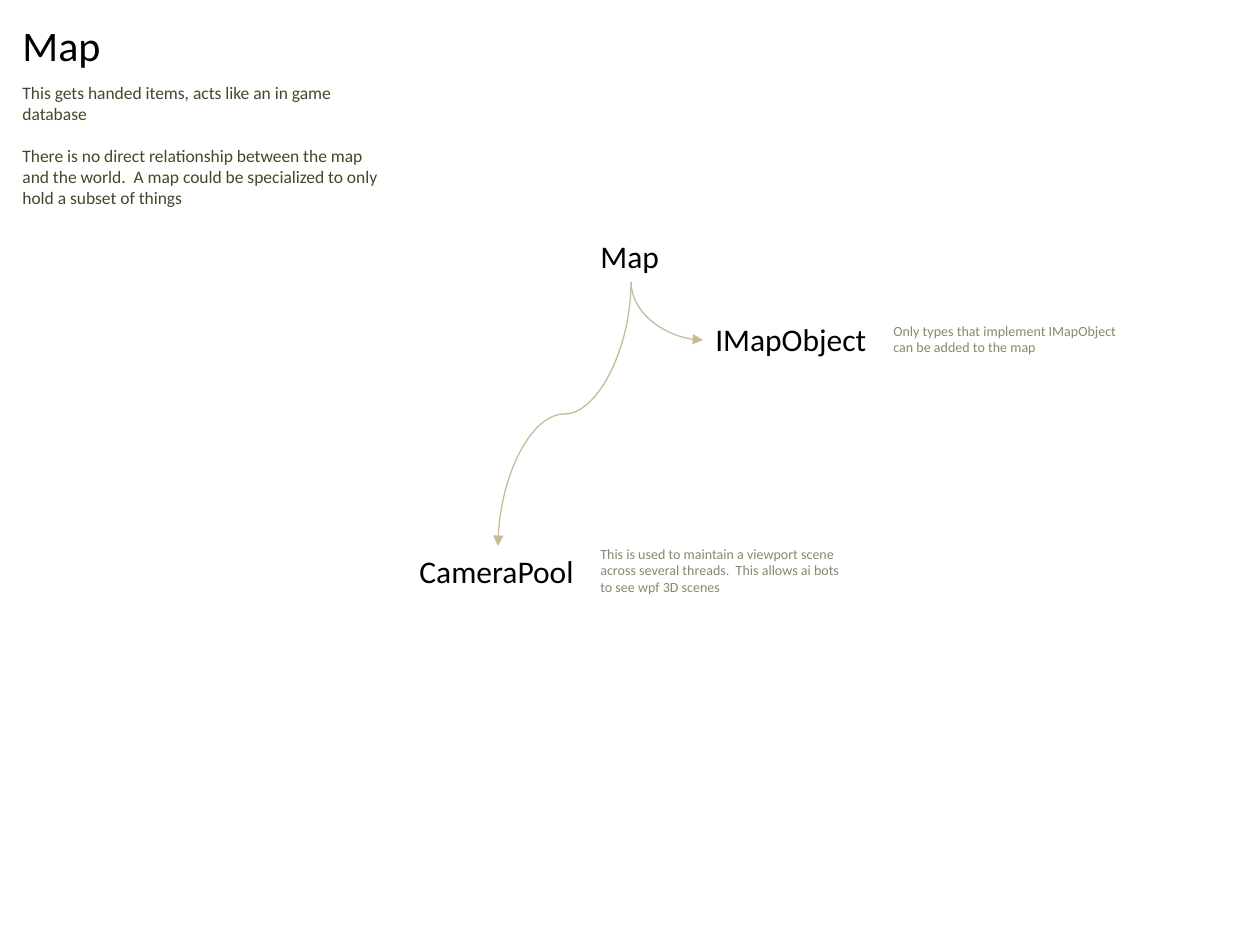
from dataclasses import dataclass

from pptx import Presentation
from pptx.dml.color import RGBColor
from pptx.enum.shapes import MSO_CONNECTOR as Connector
from pptx.enum.text import MSO_AUTO_SIZE as AutoSize
from pptx.oxml.ns import qn
from pptx.oxml.xmlchemy import OxmlElement
from pptx.util import Pt

PIXEL = 914400 / 126


def px(length):
    return round(length * PIXEL)


@dataclass(frozen=True)
class Theme:
    font: str = "Calibri"
    title: tuple = (24, "000000")
    node: tuple = (18, "000000")
    body: tuple = (10, "4A452A")
    note: tuple = (8, "8C866E")
    arrow: tuple = (0.75, "C4BD97")
    section_gap: int = 12


class Diagram:
    """Draws labels and curved arrows on one slide in a shared theme."""

    def __init__(self, slide, theme):
        self.shapes = slide.shapes
        self.theme = theme

    def text(self, box, style, *sections):
        size, color = style
        frame = self.shapes.add_textbox(*map(px, box)).text_frame
        frame.word_wrap = False
        frame.auto_size = AutoSize.SHAPE_TO_FIT_TEXT
        paragraph = None
        for section in sections:
            for index, line in enumerate(section):
                first = paragraph is None
                paragraph = frame.paragraphs[0] if first else frame.add_paragraph()
                if index == 0 and not first:
                    paragraph.space_before = Pt(self.theme.section_gap)
                run = paragraph.add_run()
                run.text = line
                run.font.name = self.theme.font
                run.font.size = Pt(size)
                run.font.color.rgb = RGBColor.from_string(color)

    def arrow_down(self, start, end, preset):
        (x1, y1), (x2, y2) = start, end
        width, height = abs(y2 - y1), abs(x2 - x1)
        left, top = (x1 + x2 - width) / 2, (y1 + y2 - height) / 2
        begin_x, end_x = left, left + width
        rotation = 90
        if x2 > x1:
            begin_x, end_x = end_x, begin_x
            rotation = 270
        arrow = self.shapes.add_connector(
            Connector.CURVE, px(begin_x), px(top), px(end_x), px(top + height))
        weight, color = self.theme.arrow
        arrow.line.width = Pt(weight)
        arrow.line.color.rgb = RGBColor.from_string(color)
        properties = arrow._element.spPr
        properties.find(qn("a:xfrm")).set("rot", str(rotation * 60000))
        properties.find(qn("a:prstGeom")).set("prst", preset)
        head = OxmlElement("a:tailEnd")
        head.set("type", "triangle")
        properties.find(qn("a:ln")).append(head)
        properties.append(OxmlElement("a:effectLst"))


deck = Presentation()
deck.slide_width, deck.slide_height = px(1260), px(945)
theme = Theme()
diagram = Diagram(deck.slides.add_slide(deck.slide_layouts[6]), theme)

diagram.text((10, 13, 105, 63), theme.title, ["Map"])
diagram.text(
    (10, 76, 386, 140), theme.body,
    ["This gets handed items, acts like an in game", "database"],
    ["There is no direct relationship between the map",
     "and the world.  A map could be specialized to only",
     "hold a subset of things"])

diagram.text((588, 231, 84, 50), theme.node, ["Map"])
diagram.text((703, 314, 178, 50), theme.node, ["IMapObject"])
diagram.text(
    (881, 316, 249, 47), theme.note,
    ["Only types that implement IMapObject", "can be added to the map"])
diagram.text((407, 546, 181, 50), theme.node, ["CameraPool"])
diagram.text(
    (588, 539, 267, 63), theme.note,
    ["This is used to maintain a viewport scene",
     "across several threads.  This allows ai bots",
     "to see wpf 3D scenes"])

map_bottom = (631, 282)
diagram.arrow_down(map_bottom, (703, 340), "curvedConnector2")
diagram.arrow_down(map_bottom, (498, 546), "curvedConnector3")

deck.save("out.pptx")
